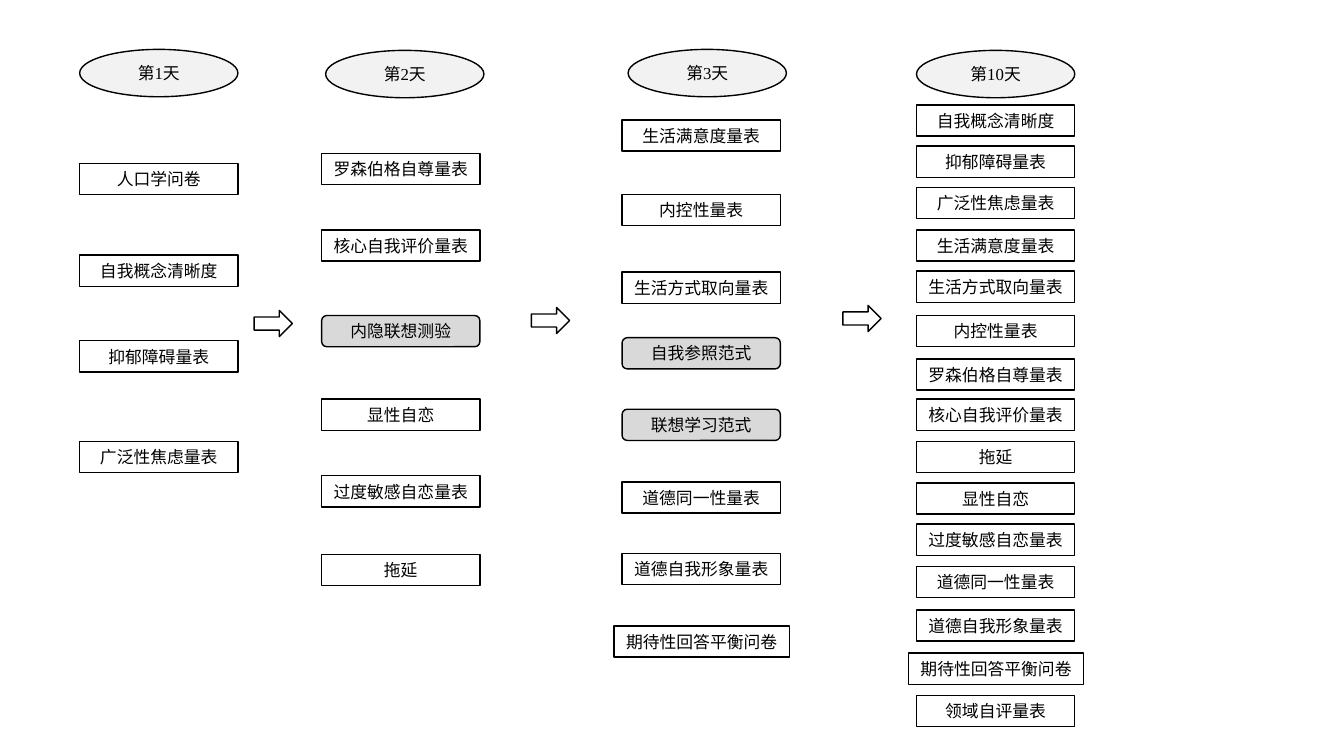
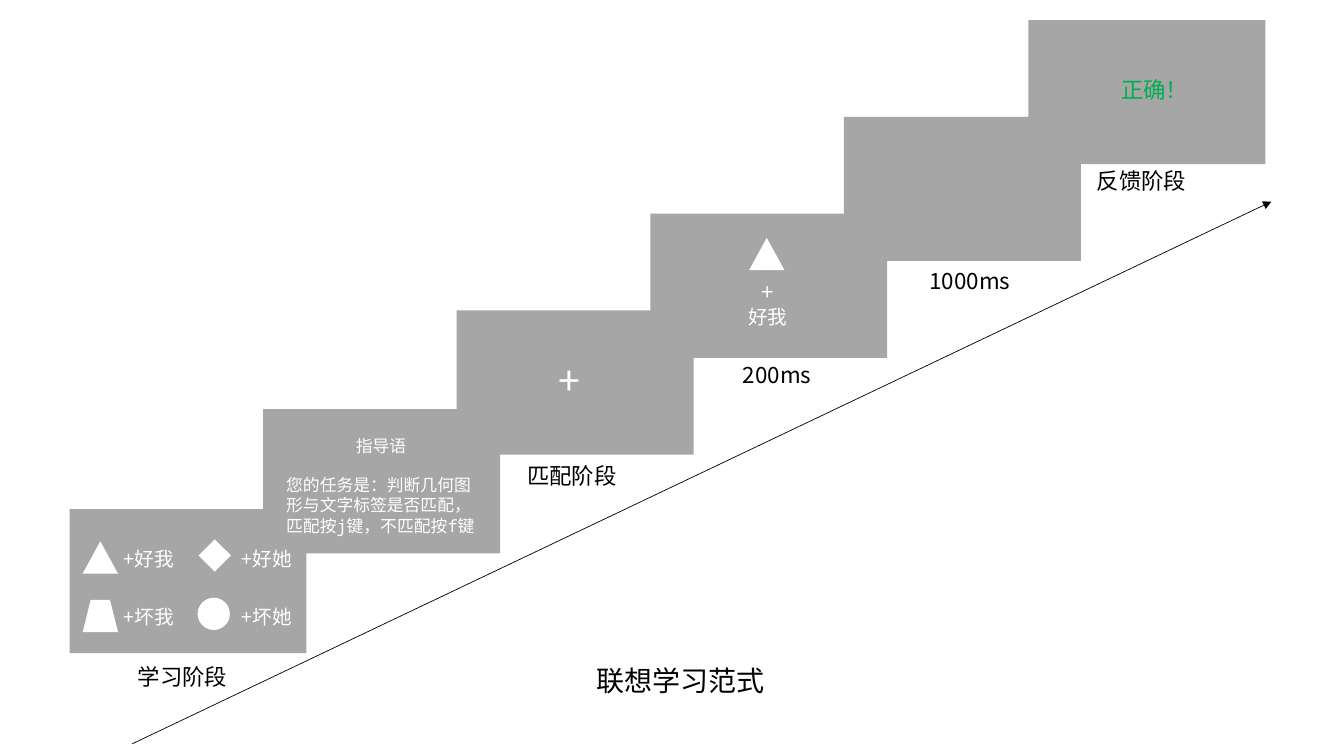
"""Builds two slides: a questionnaire schedule and an associative learning paradigm."""
from lxml import etree
from pptx import Presentation
from pptx import util as u
from pptx.dml import color
from pptx.enum import shapes, text
from pptx.oxml import ns

PX = 9144
BLACK, WHITE, GREEN = "000000", "FFFFFF", "00B050"
PALE, TASK_GRAY, FRAME_GRAY = "F2F2F2", "D9D9D9", "A6A6A6"
SERIF, SANS, MONO = "Times New Roman", "Noto Sans CJK SC", "Noto Sans Mono"
KIND = shapes.MSO_SHAPE
CENTER, LEFT = text.PP_ALIGN.CENTER, text.PP_ALIGN.LEFT

BOX_WIDTH, WIDE_BOX_WIDTH, BOX_HEIGHT, DAY_HEIGHT = 157, 174, 31, 47
WIDE_TEXT_LENGTH = 9
TASKS = {
    "内隐联想测验": KIND.FLOWCHART_ALTERNATE_PROCESS,
    "自我参照范式": KIND.ROUNDED_RECTANGLE,
    "联想学习范式": KIND.ROUNDED_RECTANGLE,
}
DAYS = [
    {"name": "第1天", "at": (79, 49), "left": 79, "boxes": [
        ("人口学问卷", 162), ("自我概念清晰度", 253), ("抑郁障碍量表", 338),
        ("广泛性焦虑量表", 438)]},
    {"name": "第2天", "at": (323, 50), "left": 319, "boxes": [
        ("罗森伯格自尊量表", 152), ("核心自我评价量表", 228), ("内隐联想测验", 313),
        ("显性自恋", 396), ("过度敏感自恋量表", 472), ("拖延", 550)]},
    {"name": "第3天", "at": (623, 49), "left": 617, "boxes": [
        ("生活满意度量表", 119), ("内控性量表", 193), ("生活方式取向量表", 270),
        ("自我参照范式", 335), ("联想学习范式", 406), ("道德同一性量表", 478),
        ("道德自我形象量表", 549), ("期待性回答平衡问卷", 621)]},
    {"name": "第10天", "at": (909, 50), "left": 909, "boxes": [
        ("自我概念清晰度", 104), ("抑郁障碍量表", 145), ("广泛性焦虑量表", 186),
        ("生活满意度量表", 228), ("生活方式取向量表", 269), ("内控性量表", 313),
        ("罗森伯格自尊量表", 356), ("核心自我评价量表", 396), ("拖延", 438),
        ("显性自恋", 479), ("过度敏感自恋量表", 520), ("道德同一性量表", 562),
        ("道德自我形象量表", 605), ("期待性回答平衡问卷", 648), ("领域自评量表", 690)]},
]
DAY_ARROWS = [(252, 308), (527, 305), (836, 303)]

FRAME_SIZE = (235, 143)
FRAMES = [(261, 406), (453, 308), (645, 212), (837, 116), (1020, 20), (69, 505)]
FIGURES = [
    (KIND.ISOSCELES_TRIANGLE, (82, 537, 35, 32)),
    (KIND.DIAMOND, (197, 535, 32, 32)),
    (KIND.TRAPEZOID, (82, 595, 35, 32)),
    (KIND.OVAL, (196, 593, 32, 32)),
    (KIND.ISOSCELES_TRIANGLE, (743, 236, 35, 32)),
]
PAIRS = [("+好我", 113, 537), ("+好她", 230, 537), ("+坏我", 113, 595), ("+坏她", 230, 595)]
STAGES = [("学习阶段", 127, 653), ("匹配阶段", 513, 453), ("反馈阶段", 1078, 161),
          ("200ms", 727, 353), ("1000ms", 912, 260)]
TIMELINE = (131, 738, 1261, 200)
INSTRUCTION = "您的任务是：判断几何图形与文字标签是否匹配，匹配按j键，不匹配按f键"


def px(*lengths):
    """Turn px lengths into EMU."""
    return [u.Emu(length * PX) for length in lengths]


def rgb(value):
    """Turn a hex string into a colour."""
    return color.RGBColor.from_string(value)


def set_all(target, values):
    """Set every attribute named in a dict."""
    for name, value in values.items():
        setattr(target, name, value)


def write(shape, lines, margins=(0, 0)):
    """Write lines of (text, format) into a shape, centred vertically."""
    frame = shape.text_frame
    side, edge = px(*margins)
    set_all(frame, {"word_wrap": True, "vertical_anchor": text.MSO_ANCHOR.MIDDLE,
                    "margin_left": side, "margin_right": side,
                    "margin_top": edge, "margin_bottom": edge})
    for index, (words, style) in enumerate(lines):
        paragraph = frame.add_paragraph() if index else frame.paragraphs[0]
        set_all(paragraph, style.get("paragraph", {}))
        run = paragraph.add_run()
        run.text = words
        set_all(run.font, {"size": u.Pt(style["size"]), "name": style["font"]})
        run.font.color.rgb = rgb(style["color"])
        east_asian = etree.SubElement(run.font._element, ns.qn("a:ea"))
        east_asian.set("typeface", SANS)


def line_style(size, hue, align=LEFT, font=SANS, gap=0):
    """Describe one line of slide text."""
    return {"size": size, "color": hue, "font": font, "paragraph": {
        "alignment": align, "line_spacing": u.Pt(round(size * 1.2, 1)),
        "space_after": u.Pt(gap)}}


def add_shape(slide, kind, box, fill, outlined=False):
    """Add a flat preset shape."""
    shape = slide.shapes.add_shape(kind, *px(*box))
    shape.shadow.inherit = False
    shape.fill.solid()
    shape.fill.fore_color.rgb = rgb(fill)
    if outlined:
        shape.line.color.rgb = rgb(BLACK)
        shape.line.width = u.Pt(1)
    else:
        shape.line.fill.background()
    return shape


def add_text(slide, box, *lines):
    """Add a text box holding the given lines."""
    write(slide.shapes.add_textbox(*px(*box)), lines, (10, 5))


def add_timeline(slide, ends):
    """Add the thin time arrow."""
    line = slide.shapes.add_connector(shapes.MSO_CONNECTOR.STRAIGHT, *px(*ends))
    line.line.color.rgb = rgb(BLACK)
    line.line.width = u.Pt(0.5)
    etree.SubElement(line.line._get_or_add_ln(), ns.qn("a:tailEnd")).set("type", "triangle")
    etree.SubElement(line._element.spPr, ns.qn("a:effectLst"))


def build_schedule(slide):
    """Draw the columns of questionnaires by day."""
    label = {"size": 12, "color": BLACK, "font": SERIF, "paragraph": {"alignment": CENTER}}
    for day in DAYS:
        oval = add_shape(slide, KIND.OVAL, (*day["at"], BOX_WIDTH, DAY_HEIGHT), PALE, True)
        write(oval, [(day["name"], label)])
        for name, top in day["boxes"]:
            width = WIDE_BOX_WIDTH if len(name) >= WIDE_TEXT_LENGTH else BOX_WIDTH
            left = day["left"] - (width - BOX_WIDTH) // 2
            box = add_shape(slide, TASKS.get(name, KIND.RECTANGLE),
                            (left, top, width, BOX_HEIGHT),
                            TASK_GRAY if name in TASKS else WHITE, True)
            write(box, [(name, label)])
    for left, top in DAY_ARROWS:
        add_shape(slide, KIND.RIGHT_ARROW, (left, top, 38, 26), WHITE, True)


def build_paradigm(slide):
    """Draw the staircase of screens along the time arrow."""
    for corner in FRAMES:
        add_shape(slide, KIND.RECTANGLE, (*corner, *FRAME_SIZE), FRAME_GRAY)
    for kind, box in FIGURES:
        add_shape(slide, kind, box, WHITE)
    for words, left, top in PAIRS:
        add_text(slide, (left, top, 97, 34), (words, line_style(14, WHITE)))
    add_text(slide, (274, 414, 208, 135),
             ("指导语", line_style(12, WHITE, CENTER, gap=14)),
             (INSTRUCTION, line_style(12, WHITE, font=MONO)))
    add_text(slide, (544, 348, 121, 57), ("+", line_style(28, WHITE)))
    add_text(slide, (713, 270, 97, 61),
             ("+", line_style(16, WHITE, CENTER)), ("好我", line_style(14, WHITE, CENTER)))
    add_text(slide, (1102, 70, 142, 37), ("正确！", line_style(16, GREEN)))
    add_timeline(slide, TIMELINE)
    for words, left, top in STAGES:
        add_text(slide, (left, top, 119, 37), (words, line_style(16, BLACK)))
    add_text(slide, (582, 653, 203, 44), ("联想学习范式", line_style(20, BLACK)))


def main():
    """Build and save the presentation."""
    presentation = Presentation()
    presentation.slide_width, presentation.slide_height = px(1333, 750)
    for build in (build_schedule, build_paradigm):
        build(presentation.slides.add_slide(presentation.slide_layouts[6]))
    presentation.save("out.pptx")


if __name__ == "__main__":
    main()
